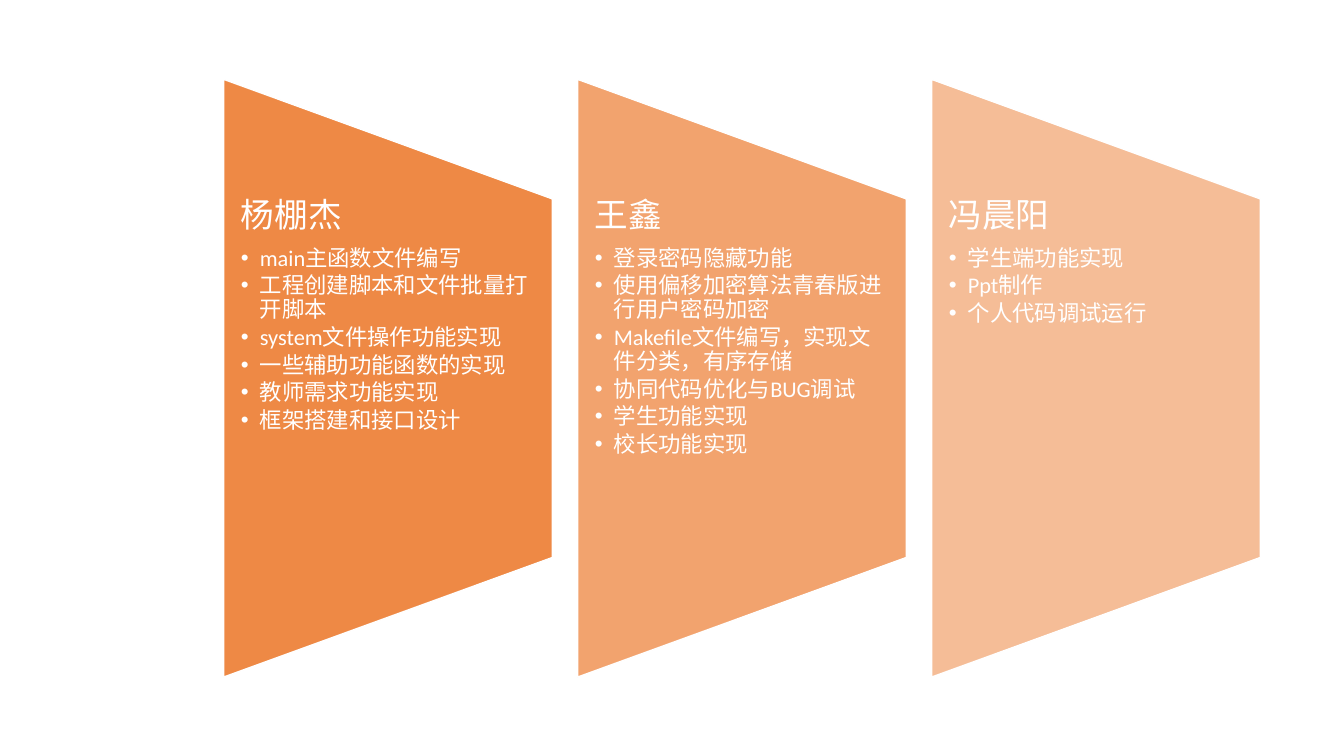
from lxml import etree
from pptx import Presentation
from pptx.dml.color import RGBColor
from pptx.enum.shapes import MSO_SHAPE
from pptx.enum.text import MSO_ANCHOR, MSO_AUTO_SIZE, PP_ALIGN
from pptx.oxml.ns import qn
from pptx.util import Cm, Pt

ORANGE = RGBColor(0xED, 0x7D, 0x31)
WHITE = RGBColor(0xFF, 0xFF, 0xFF)
TRAPEZOID = MSO_SHAPE.FLOWCHART_MANUAL_OPERATION
LEFT = PP_ALIGN.LEFT

FRAME = {
    "word_wrap": True, "auto_size": MSO_AUTO_SIZE.NONE,
    "vertical_anchor": MSO_ANCHOR.TOP,
    "margin_left": Cm(0.43), "margin_right": Cm(0.43),
    "margin_top": 0, "margin_bottom": 0,
}
PARA = {"alignment": LEFT, "line_spacing": 0.9, "space_before": Pt(0)}
NAME = {**PARA, "level": 0, "space_after": Pt(8.4)}
TASK = {**PARA, "level": 1, "space_after": Pt(2.4)}
FONT = {"name": "Calibri", "bold": False}

COMPARISON = 4
SLOTS = (1, 2, 3)
TOP, HEIGHT = Cm(2), Cm(15.06)
START, WIDTH, PITCH = Cm(5.64), Cm(8.28), Cm(8.92)

MEMBERS = [
    ("杨棚杰", 90, [
        "main主函数文件编写",
        "工程创建脚本和文件批量打开脚本",
        "system文件操作功能实现",
        "一些辅助功能函数的实现",
        "教师需求功能实现",
        "框架搭建和接口设计",
    ]),
    ("王鑫", 70, [
        "登录密码隐藏功能",
        "使用偏移加密算法青春版进行用户密码加密",
        "Makefile文件编写，实现文件分类，有序存储",
        "协同代码优化与BUG调试",
        "学生功能实现",
        "校长功能实现",
    ]),
    ("冯晨阳", 50, [
        "学生端功能实现",
        "Ppt制作",
        "个人代码调试运行",
    ]),
]


def apply(item, values):
    for key, value in values.items():
        setattr(item, key, value)


def set_bullet(para, char):
    """Give the paragraph a hanging bullet, or none if char is empty."""
    props = para._p.get_or_add_pPr()
    indent = Cm(0.48) if char else 0
    props.set("marL", str(indent))
    props.set("indent", str(-indent))
    if char:
        etree.SubElement(props, qn("a:buFont"), typeface="Arial")
        etree.SubElement(props, qn("a:buChar"), char=char)
    else:
        etree.SubElement(props, qn("a:buNone"))


def add_line(para, text, size, values, char=""):
    apply(para, values)
    set_bullet(para, char)
    run = para.add_run()
    run.text = text
    apply(run.font, {**FONT, "size": Pt(size)})
    run.font.color.rgb = WHITE


def add_panel(slide, box, alpha):
    """Draw a trapezoid, turned so that its long side is on the left."""
    left, top, width, height = box
    shift = (height - width) // 2
    panel = slide.shapes.add_shape(
        TRAPEZOID, left - shift, top + shift, height, width)
    panel.rotation = 270
    panel.shadow.inherit = False
    panel.fill.solid()
    panel.fill.fore_color.rgb = ORANGE
    color = panel.fill._xPr.find(qn("a:solidFill"))[0]
    etree.SubElement(color, qn("a:alpha"), val=str(alpha * 1000))
    panel.line.color.rgb = WHITE
    panel.line.width = Pt(1)


def add_member(slide, slot, box, member):
    name, alpha, tasks = member
    add_panel(slide, box, alpha)
    left, top, width, height = box
    inset = height // 5
    apply(slot, {"left": left, "top": top + inset,
                 "width": width, "height": height - 2 * inset})
    slide.shapes._spTree.append(slot._element)  # text in front of its panel
    frame = slot.text_frame
    apply(frame, FRAME)
    add_line(frame.paragraphs[0], name, 24, NAME)
    for task in tasks:
        add_line(frame.add_paragraph(), task, 16, TASK, "•")


def build_team(deck):
    slide = deck.slides.add_slide(deck.slide_layouts[COMPARISON])
    slots = {p.placeholder_format.idx: p for p in slide.placeholders}
    for index, (key, member) in enumerate(zip(SLOTS, MEMBERS)):
        box = (START + index * PITCH, TOP, WIDTH, HEIGHT)
        add_member(slide, slots.pop(key), box, member)
    for spare in slots.values():
        slide.shapes._spTree.remove(spare._element)


def main():
    deck = Presentation()
    deck.slide_width, deck.slide_height = Cm(33.87), Cm(19.05)
    build_team(deck)
    deck.save("out.pptx")


if __name__ == "__main__":
    main()
